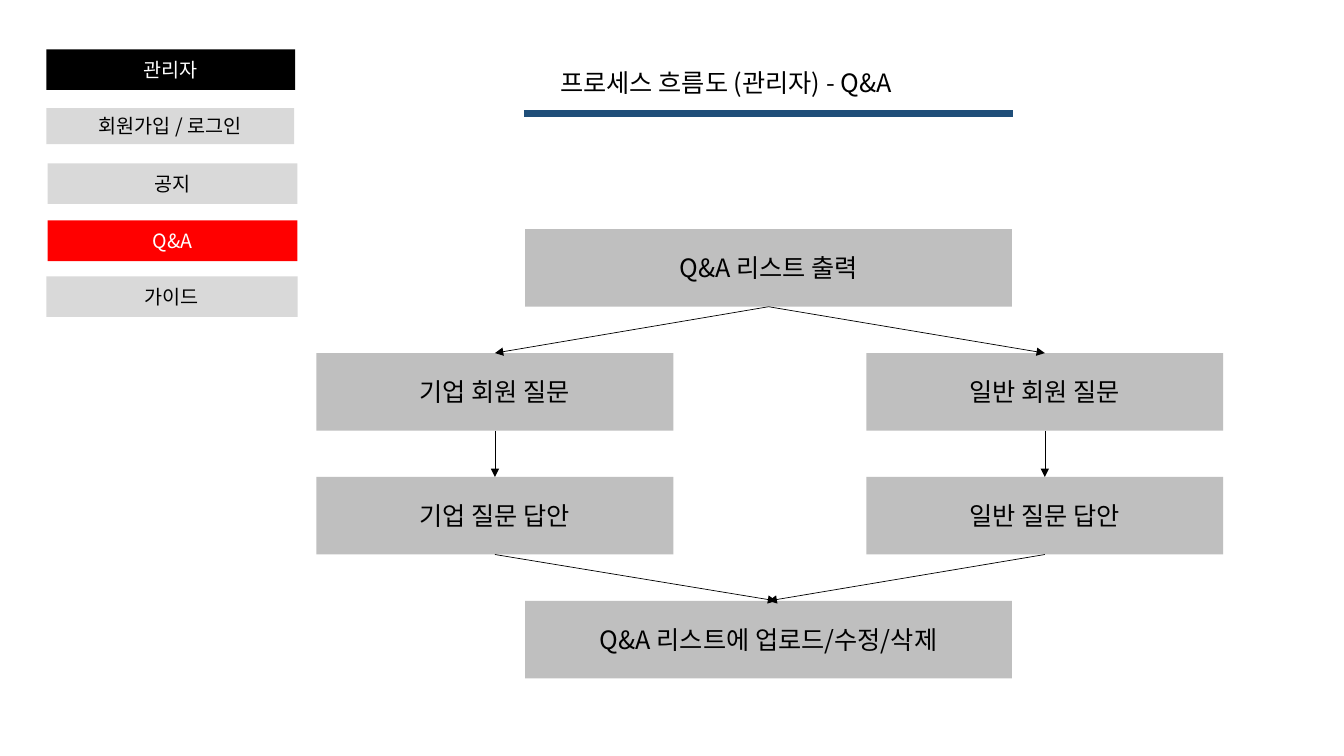
from lxml.etree import SubElement
from pptx import Presentation
from pptx.dml.color import RGBColor
from pptx.enum.shapes import MSO_CONNECTOR, MSO_SHAPE
from pptx.enum.text import MSO_ANCHOR, MSO_AUTO_SIZE, PP_ALIGN
from pptx.oxml.ns import qn
from pptx.util import Pt

FONT = "Noto Sans CJK KR"
BLACK = RGBColor(0x00, 0x00, 0x00)
WHITE = RGBColor(0xFF, 0xFF, 0xFF)
RED = RGBColor(0xFF, 0x00, 0x00)
NAVY = RGBColor(0x1F, 0x4E, 0x79)
STEP_GRAY = RGBColor(0xBF, 0xBF, 0xBF)
MENU_GRAY = RGBColor(0xD9, 0xD9, 0xD9)

presentation = Presentation()
presentation.slide_width = Pt(960)
presentation.slide_height = Pt(540)
slide = presentation.slides.add_slide(presentation.slide_layouts[6])


def add_text(text, left, top, width, height, fill=None, size=18, color=BLACK):
    bounds = Pt(left), Pt(top), Pt(width), Pt(height)
    if fill is None:
        shape = slide.shapes.add_textbox(*bounds)
        shape.text_frame.auto_size = MSO_AUTO_SIZE.SHAPE_TO_FIT_TEXT
    else:
        shape = slide.shapes.add_shape(MSO_SHAPE.RECTANGLE, *bounds)
        shape.shadow.inherit = False
        shape.fill.solid()
        shape.fill.fore_color.rgb = fill
        shape.line.fill.background()
        shape.text_frame.vertical_anchor = MSO_ANCHOR.MIDDLE
    shape.text_frame.word_wrap = True
    paragraph = shape.text_frame.paragraphs[0]
    paragraph.alignment = PP_ALIGN.LEFT if fill is None else PP_ALIGN.CENTER
    run = paragraph.add_run()
    run.text = text
    run.font.size = Pt(size)
    run.font.color.rgb = color
    run.font.name = FONT
    SubElement(run.font._element, qn("a:ea"), typeface=FONT)


def add_line(start, end, color=BLACK, width=0.5, arrow=True):
    connector = slide.shapes.add_connector(
        MSO_CONNECTOR.STRAIGHT, Pt(start[0]), Pt(start[1]), Pt(end[0]), Pt(end[1])
    )
    connector.line.color.rgb = color
    connector.line.width = Pt(width)
    if arrow:
        SubElement(connector.line._get_or_add_ln(), qn("a:tailEnd"), type="triangle")
    SubElement(connector._element.spPr, qn("a:effectLst"))


add_text("프로세스 흐름도 (관리자) - Q&A", 393.1, 44.6, 311, 29.5)
add_line((374.2, 80.8), (723.6, 80.8), color=NAVY, width=5, arrow=False)

menu = [
    ("관리자", 33.1, 35.3, 177.8, 29, BLACK, WHITE),
    ("회원가입 / 로그인", 33.1, 77.2, 177, 25.8, MENU_GRAY, BLACK),
    ("공지", 34, 116.7, 178.4, 29, MENU_GRAY, BLACK),
    ("Q&A", 34, 157.5, 178.4, 29, RED, WHITE),
    ("가이드", 33.1, 197.4, 179.5, 29, MENU_GRAY, BLACK),
]
for text, left, top, width, height, fill, color in menu:
    add_text(text, left, top, width, height, fill=fill, size=14, color=color)

step_height = 55.4
row_tops = [163.7 + 88.5 * row for row in range(4)]
row_bottoms = [top + step_height for top in row_tops]
wide_left, wide_width = 375.1, 347.8
side_width = 254.9
middle = wide_left + wide_width / 2

for text, top in [("Q&A 리스트 출력", row_tops[0]), ("Q&A 리스트에 업로드/수정/삭제", row_tops[3])]:
    add_text(text, wide_left, top, wide_width, step_height, fill=STEP_GRAY)

branches = [
    ("기업 회원 질문", "기업 질문 답안", 226.1, 554.4),
    ("일반 회원 질문", "일반 질문 답안", 618.9, middle),
]
for question, answer, left, merge_x in branches:
    center = left + side_width / 2
    add_text(question, left, row_tops[1], side_width, step_height, fill=STEP_GRAY)
    add_text(answer, left, row_tops[2], side_width, step_height, fill=STEP_GRAY)
    add_line((middle, row_bottoms[0]), (center, row_tops[1]))
    add_line((center, row_bottoms[1]), (center, row_tops[2]))
    add_line((center, row_bottoms[2]), (merge_x, row_tops[3]))

presentation.save("out.pptx")
